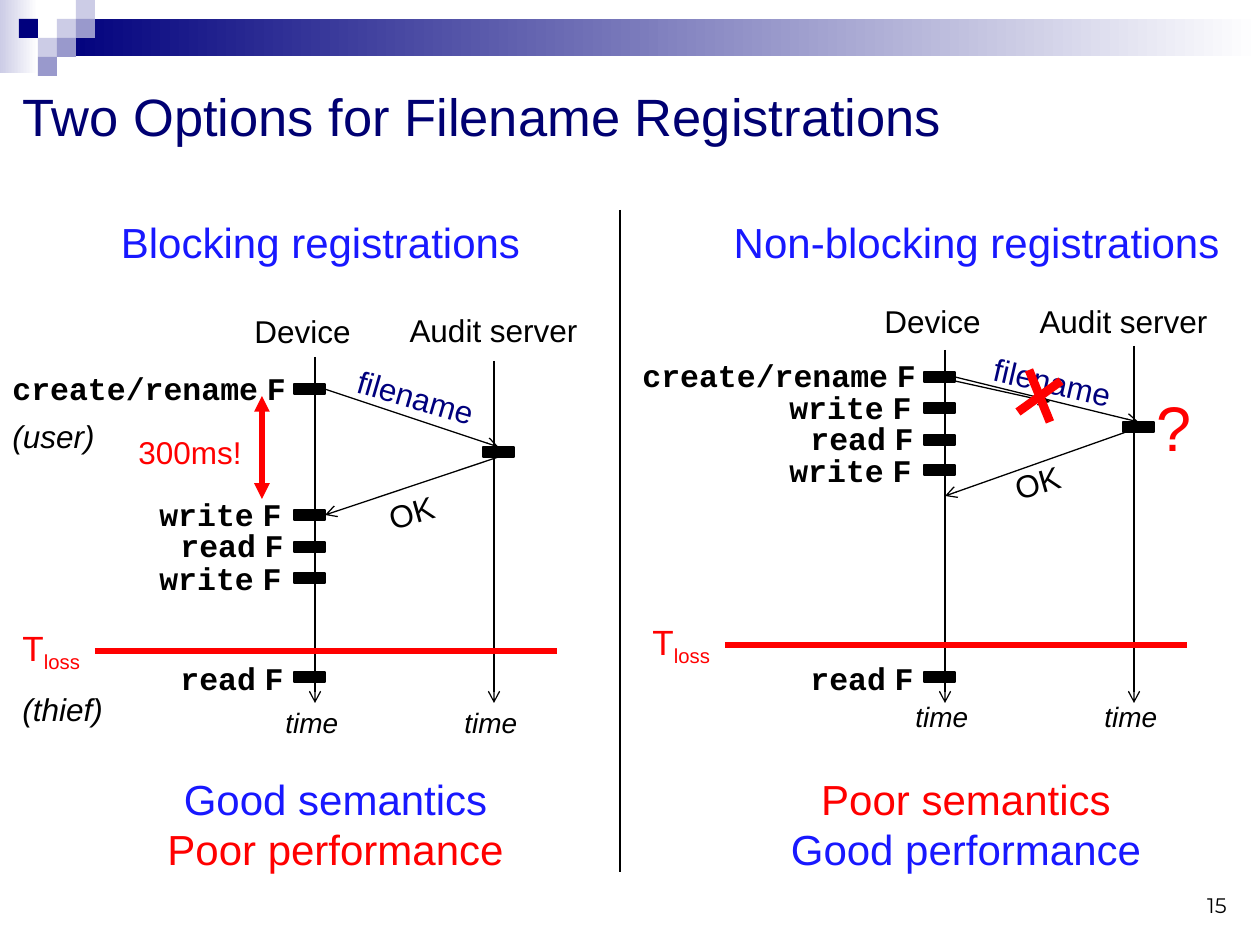
import pptx
import pptx.dml.color
import pptx.enum.shapes
import pptx.enum.text
import pptx.oxml.xmlchemy
import pptx.util

BLACK, RED, BLUE, NAVY = "000000", "FF0000", "1818FF", "00007D"
LILAC, VIOLET, WHITE = "CCCCE6", "9999CC", "FFFFFF"
ALIGN = pptx.enum.text.PP_ALIGN
ANCHOR = pptx.enum.text.MSO_ANCHOR
LABEL_LEFT = {"create/rename": 0, "write": 147, "read": 168}


def px(length):
    """Turn pixels into EMU."""
    return pptx.util.Emu(round(length * 914400 / 126))


def rgb(code):
    """Turn a hex string into a colour."""
    return pptx.dml.color.RGBColor.from_string(code)


def shift(box, left, top, width, height):
    """Place a rectangle relative to a box."""
    return box[0] + left, box[1] + top, width, height


def format_span(span, size=18, font="Arial", color=BLACK, bold=False, italic=False, baseline=None):
    """Set the character format of one span."""
    span.font.size = pptx.util.Pt(size)
    span.font.name = font
    span.font.bold = bold
    span.font.italic = italic
    span.font.color.rgb = rgb(color)
    if baseline:
        span.font._element.set("baseline", str(baseline))


def add_text(page, box, text, align=ALIGN.LEFT, anchor=ANCHOR.TOP, turn=0, **style):
    """Add a text box from a string or from paragraphs of (text, style) spans."""
    shape = page.shapes.add_textbox(*map(px, box))
    shape.rotation = turn
    frame = shape.text_frame
    frame.word_wrap = True
    frame.vertical_anchor = anchor
    lines = [[(text, {})]] if isinstance(text, str) else text
    for index, line in enumerate(lines):
        para = frame.paragraphs[0] if index == 0 else frame.add_paragraph()
        para.alignment = align
        for words, changes in line:
            span = para.add_run()
            span.text = words
            format_span(span, **{**style, **changes})


def add_block(page, box, color, fade=False, outline=False):
    """Add a rectangle, plain or fading to white."""
    block = page.shapes.add_shape(pptx.enum.shapes.MSO_SHAPE.RECTANGLE, *map(px, box))
    block.shadow.inherit = False
    if fade:
        block.fill.gradient()
        block.fill.gradient_angle = 0
        for stop, code in zip(block.fill.gradient_stops, (color, WHITE)):
            stop.color.rgb = rgb(code)
    else:
        block.fill.solid()
        block.fill.fore_color.rgb = rgb(color)
    if outline:
        block.line.color.rgb = rgb(color)
        block.line.width = pptx.util.Pt(0.75)
    else:
        block.line.fill.background()
    return block


def add_line(page, box, start, end, color=BLACK, width=0.75, head=None, tail=None):
    """Add a line between two points of a box, with optional arrowheads."""
    points = [px(box[axis] + point[axis]) for point in (start, end) for axis in (0, 1)]
    line = page.shapes.add_connector(pptx.enum.shapes.MSO_CONNECTOR.STRAIGHT, *points)
    line.line.color.rgb = rgb(color)
    line.line.width = pptx.util.Pt(width)
    stroke = line.line._get_or_add_ln()
    for tag, kind in (("a:headEnd", head), ("a:tailEnd", tail)):
        if kind:
            arrow = pptx.oxml.xmlchemy.OxmlElement(tag)
            arrow.set("type", kind)
            stroke.append(arrow)
    line._element.spPr.append(pptx.oxml.xmlchemy.OxmlElement("a:effectLst"))
    return line


def add_banner(page, box):
    """Draw the fading bar and the mosaic of squares at the top."""
    add_block(page, shift(box, 0, 0, 38, 73), LILAC, fade=True)
    add_block(page, shift(box, 57, 19, 1203, 37), NAVY, fade=True)
    squares = [(3, 1, LILAC), (4, 0, LILAC), (4, 1, VIOLET), (2, 2, LILAC),
               (1, 1, NAVY), (3, 2, VIOLET), (2, 3, VIOLET)]
    for column, row, color in squares:
        add_block(page, shift(box, column * 19, row * 19, 19, 19), color)


def add_title(page, box, text):
    """Fill and move the title placeholder."""
    title = page.shapes.title
    title.left, title.top, title.width, title.height = map(px, box)
    title.text_frame.vertical_anchor = ANCHOR.MIDDLE
    para = title.text_frame.paragraphs[0]
    para.alignment = ALIGN.LEFT
    span = para.add_run()
    span.text = text
    format_span(span, size=30, color="000072")


def add_timeline(page, box, server, starts, label_tops, time_top, loss, events, server_top):
    """Draw lifelines, events and the loss line; return event marks and server mark."""
    for name, left, width, top, align in (("Device", 242, 136, label_tops[0], ALIGN.LEFT),
                                          ("Audit server", 378, 231, label_tops[1], ALIGN.CENTER)):
        add_text(page, shift(box, left, top, width, 50), name, align=align)
    for column, start in zip((315, server), starts):
        add_line(page, box, (column, start), (column, 703), tail="arrow")
        add_text(page, shift(box, column - 42, time_top, 95, 47), "time", size=16, italic=True)
    marks = []
    for command, mark_top, label_top in events:
        marks.append(add_block(page, shift(box, 294, mark_top, 31, 10), BLACK, outline=True))
        left = LABEL_LEFT[command]
        add_text(page, shift(box, left, label_top, 179 if left else 315, 50),
                 [[(command, {}), (" ", {"font": "Arial"}), ("F", {})]],
                 font="Courier New", bold=True)
    add_line(page, box, (95, loss), (557, loss), color=RED, width=3)
    add_text(page, shift(box, 10, loss - 31, 105, 60),
             [[("T", {}), ("loss", {"baseline": -25000})]], size=20, color=RED)
    return marks, add_block(page, shift(box, server - 11, server_top, 31, 10), BLACK, outline=True)


def add_message_labels(page, box, name_at, name_turn, reply_at):
    """Write the slanted labels of the request and the reply."""
    add_text(page, shift(box, *name_at, 189, 50), "filename", turn=name_turn, color=NAVY)
    add_text(page, shift(box, *reply_at, 189, 50), "OK", turn=344.1)


def add_verdict(page, box, semantics, performance):
    """Write the two coloured lines that judge an option."""
    colors = {"Good": BLUE, "Poor": RED}
    add_text(page, box, [[(f"{semantics} semantics", {"color": colors[semantics]})],
                         [(f"{performance} performance", {"color": colors[performance]})]],
             size=24, align=ALIGN.CENTER)


def add_blocking(page, box):
    """Draw the option that waits for the server."""
    add_text(page, shift(box, 42, 210, 557, 63), "Blocking registrations",
             size=24, color=BLUE, align=ALIGN.CENTER)
    events = [("create/rename", 384, 363), ("write", 510, 489), ("read", 542, 520),
              ("write", 573, 553), ("read", 672, 653)]
    marks, server = add_timeline(page, box, 494, (357, 361), (306, 305), 699, 651, events, 447)
    request = add_line(page, box, (310, 384), (499, 447), tail="arrow")
    request.begin_connect(marks[0], 0)
    request.end_connect(server, 0)
    reply = add_line(page, box, (499, 457), (326, 515), tail="arrow")
    reply.begin_connect(server, 2)
    reply.end_connect(marks[1], 3)
    add_message_labels(page, box, (343, 378), 16.3, (374, 471))
    add_line(page, box, (262, 396), (262, 499), color=RED, width=3, head="triangle", tail="triangle")
    add_text(page, shift(box, 126, 427, 147, 50), "300ms!", color=RED)
    add_text(page, shift(box, 0, 411, 116, 50), "(user)", italic=True)
    add_text(page, shift(box, 10, 684, 116, 50), "(thief)", italic=True)
    add_verdict(page, shift(box, 136, 767, 399, 113), "Good", "Poor")


def add_non_blocking(page, box):
    """Draw the option that goes on without waiting."""
    add_text(page, shift(box, 84, 210, 525, 63), "Non-blocking registrations",
             size=24, color=BLUE, align=ALIGN.CENTER)
    events = [("create/rename", 372, 350), ("write", 403, 382), ("read", 435, 413),
              ("write", 465, 445), ("read", 672, 653)]
    marks, server = add_timeline(page, box, 504, (350, 346), (296, 296), 693, 645, events, 422)
    add_message_labels(page, box, (350, 362), 13.1, (370, 441))
    request = add_line(page, box, (325, 377), (504, 422), tail="arrow")
    request.begin_connect(marks[0], 3)
    request.end_connect(server, 0)
    add_line(page, box, (499, 431), (315, 496), tail="arrow")
    add_line(page, box, (325, 381), (420, 402), tail="arrow")
    for start, end in (((431, 381), (388, 412)), ((399, 370), (420, 422))):
        add_line(page, box, start, end, color=RED, width=5)
    add_text(page, shift(box, 514, 382, 105, 88), "?", size=36, color=RED)
    add_verdict(page, shift(box, 147, 767, 378, 113), "Poor", "Good")


def main():
    """Build the deck and save it."""
    deck = pptx.Presentation()
    deck.slide_width, deck.slide_height = px(1260), px(945)
    page = deck.slides.add_slide(deck.slide_layouts[5])
    add_banner(page, (0, 0, 1260, 75))
    add_title(page, (10, 53, 1229, 126), "Two Options for Filename Registrations")
    add_blocking(page, (0, 0, 630, 945))
    add_non_blocking(page, (630, 0, 630, 945))
    add_line(page, (0, 0), (620, 210), (620, 872))
    add_text(page, (945, 861, 294, 63), "15", size=12, font="Montserrat",
             align=ALIGN.RIGHT, anchor=ANCHOR.BOTTOM)
    deck.save("out.pptx")


if __name__ == "__main__":
    main()
